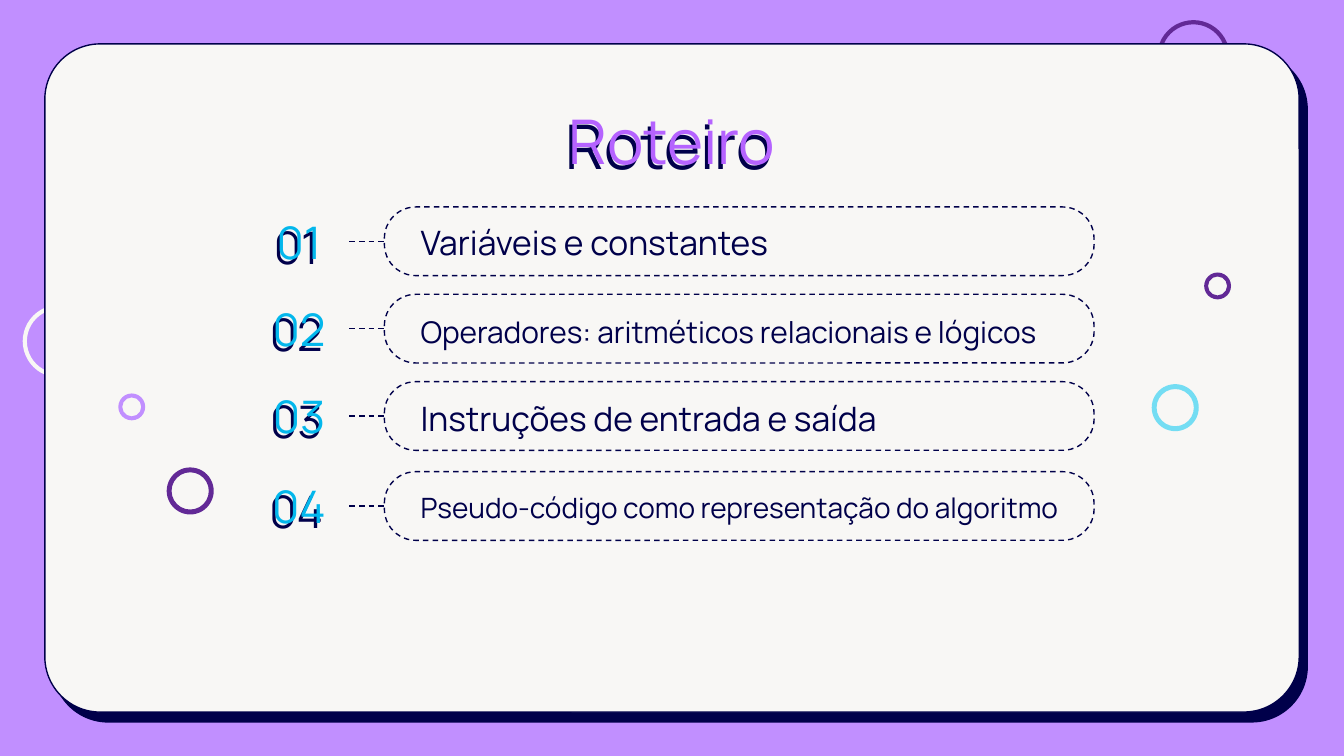
from pptx import Presentation
from pptx.dml.color import RGBColor
from pptx.enum.dml import MSO_LINE as Dash
from pptx.enum.shapes import MSO_CONNECTOR as Conn, MSO_SHAPE as Kind
from pptx.enum.text import MSO_ANCHOR as Anchor, MSO_AUTO_SIZE as Auto, PP_ALIGN as Align
from pptx.oxml import parse_xml
from pptx.oxml.ns import nsdecls
from pptx.util import Pt

NAVY, LILAC, PAPER = "00004A", "C18FFF", "F8F7F5"
PLUM, CYAN, SKY, PINK = "622996", "03B7EC", "74DDF3", "B563FF"
FONT = "Manrope"

TITLE = "Roteiro"
ITEMS = [
    ("Variáveis e constantes", 18, 110.9, 0),
    ("Operadores: aritméticos relacionais e lógicos", 16, 157.7, 0),
    ("Instruções de entrada e saída", 18, 204.5, 0.5),
    ("Pseudo-código como representação do algoritmo", 15, 252.7, -1.4),
]
BACK = [(619.9, 10.8, 38.9, 0.058, PLUM), (12.2, 163.4, 38.9, 0.058, PAPER)]
FRONT = [
    (89.3, 250.4, 25.2, 0.104, PLUM),
    (645.1, 146, 14.4, 0.147, PLUM),
    (617, 205.8, 25.2, 0.104, SKY),
    (63.4, 210.8, 14.4, 0.147, LILAC),
]
CARD = (24, 23.5, 672, 358)
PILL_X, PILL_W, ROW_H = 205.9, 380.2, 36.8
NUM_X, NUM_W = 133.2, 54
TEXT_X, TEXT_W = 218.2, 380


def color(fmt, code):
    fmt.rgb = RGBColor.from_string(code)


def paint(fill, code):
    fill.solid()
    color(fill.fore_color, code)


def effect(shape, dist=None, angle=0):
    shade = "" if dist is None else (
        f'<a:outerShdw dist="{Pt(dist)}" dir="{angle * 60000}" algn="bl" rotWithShape="0">'
        f'<a:srgbClr val="{NAVY}"/></a:outerShdw>')
    props = shape._element.spPr
    for old in props.findall("{*}effectLst"):
        props.remove(old)
    props.append(parse_xml(f'<a:effectLst {nsdecls("a")}>{shade}</a:effectLst>'))


def stroke(line, dash=None):
    paint(line.fill, NAVY)
    line.width = Pt(0.75)
    if dash:
        line.dash_style = dash


def add(kind, box, adj, fill):
    shape = shapes.add_shape(kind, *map(Pt, box))
    shape.shadow.inherit = False
    shape.adjustments[0] = adj
    paint(shape.fill, fill)
    shape.line.fill.background()
    return shape


def rings(specs):
    for x, y, size, adj, fill in specs:
        add(Kind.DONUT, (x, y, size, size), adj, fill)


def write(shape, text, size, code, align, anchor):
    frame = shape.text_frame
    frame.word_wrap = True
    frame.auto_size = Auto.NONE
    frame.vertical_anchor = anchor
    frame.margin_left = frame.margin_right = Pt(7.2)
    frame.margin_top = frame.margin_bottom = Pt(7.2)
    para = frame.paragraphs[0]
    para.text = text
    para.alignment = align
    para.font.name = FONT
    para.font.size = Pt(size)
    color(para.font.color, code)


deck = Presentation()
deck.slide_width, deck.slide_height = Pt(720), Pt(405)
slide = deck.slides.add_slide(deck.slide_layouts[5])
shapes = slide.shapes
paint(slide.background.fill, LILAC)

rings(BACK)
card = add(Kind.ROUNDED_RECTANGLE, CARD, 0.083, PAPER)
stroke(card.line)
effect(card, 6.8, 51)

title = shapes.title
title.left, title.top, title.width, title.height = map(Pt, (56.2, 48.2, 607.6, 48.2))
write(title, TITLE, 33, PINK, Align.CENTER, Anchor.TOP)
effect(title, 3, 120)
shapes._spTree.append(title._element)

for n, (text, size, top, shift) in enumerate(ITEMS, 1):
    pill = add(Kind.ROUNDED_RECTANGLE, (PILL_X, top, PILL_W, ROW_H), 0.458, PAPER)
    stroke(pill.line, Dash.DASH)

    num = shapes.add_textbox(*map(Pt, (NUM_X, top, NUM_W, ROW_H)))
    write(num, f"{n:02}", 24, CYAN, Align.CENTER, Anchor.MIDDLE)
    effect(num, 3, 120)

    label = shapes.add_textbox(*map(Pt, (TEXT_X, top + shift, TEXT_W, ROW_H)))
    write(label, text, size, NAVY, Align.LEFT, Anchor.BOTTOM)

    link = shapes.add_connector(Conn.STRAIGHT, 0, 0, 0, 0)
    link.begin_connect(num, 3)
    link.end_connect(pill, 1)
    stroke(link.line, Dash.DASH)
    effect(link)

rings(FRONT)
deck.save("out.pptx")
